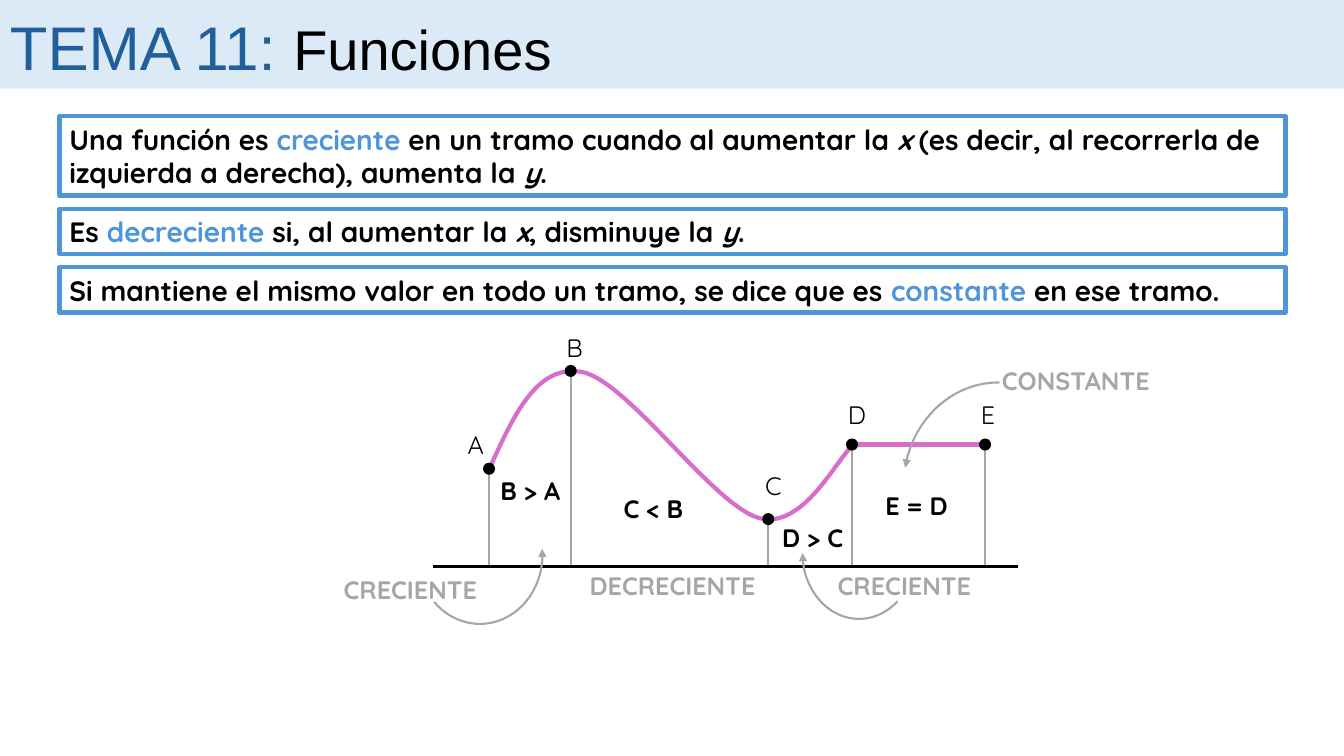
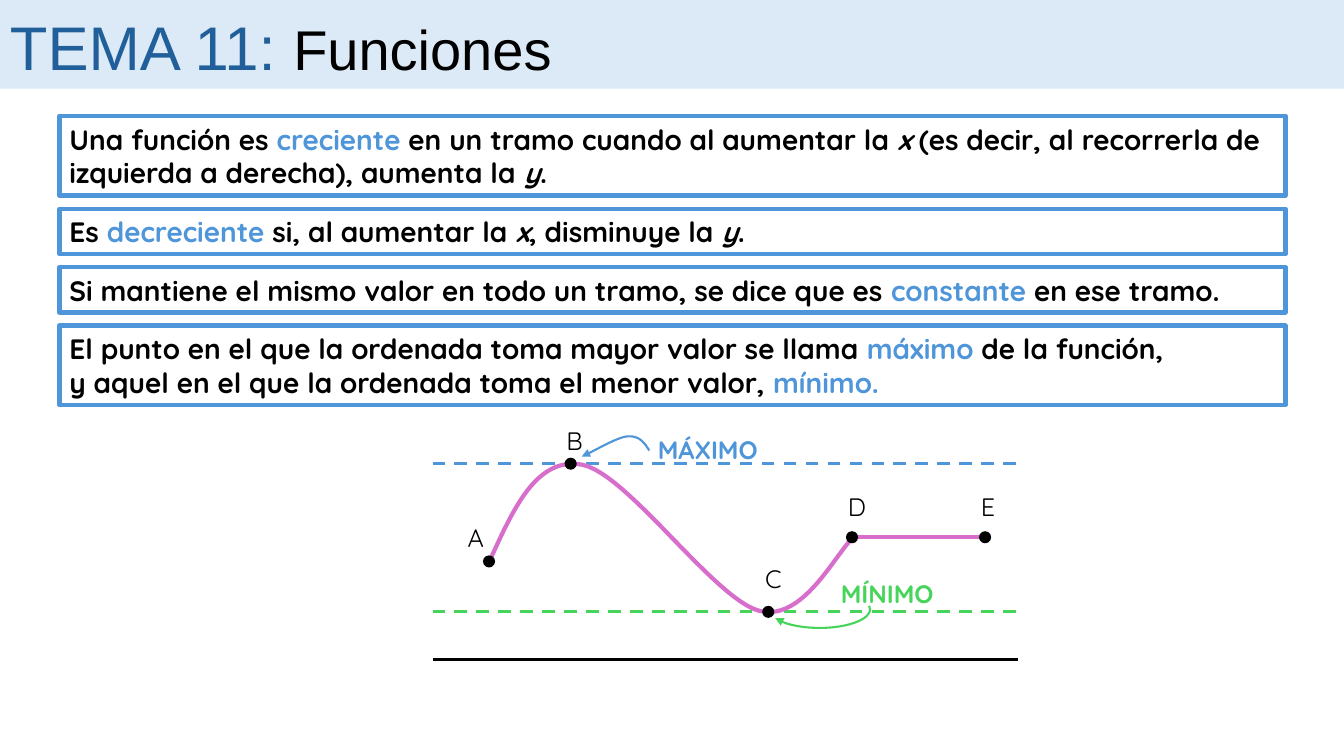
import lxml.etree
import pptx
import pptx.dml.color
import pptx.enum.dml
import pptx.enum.shapes
import pptx.enum.text
import pptx.oxml.ns
import pptx.util

Inches = pptx.util.Inches
Pt = pptx.util.Pt
RGBColor = pptx.dml.color.RGBColor
MSO_SHAPE = pptx.enum.shapes.MSO_SHAPE
PP_ALIGN = pptx.enum.text.PP_ALIGN
MSO_ANCHOR = pptx.enum.text.MSO_ANCHOR
qn = pptx.oxml.ns.qn

BLACK = RGBColor(0x00, 0x00, 0x00)
BAND = RGBColor(0xDC, 0xEA, 0xF7)
NAVY = RGBColor(0x21, 0x5F, 0x9A)
BLUE = RGBColor(0x4E, 0x95, 0xD9)
GRAY = RGBColor(0xA6, 0xA6, 0xA6)
PINK = RGBColor(0xD8, 0x6E, 0xCC)
GREEN = RGBColor(0x47, 0xD4, 0x5A)

BODY_FONT = "Quicksand"
TITLE_FONT = "Arial"
ONE_LINE, TWO_LINES = 0.45, 0.79
BOX_LEFT, BOX_TOP, BOX_WIDTH, BOX_GAP = 0.59, 1.15, 12.16, 0.13
DOT = 0.12
AXIS_LEFT, AXIS_RIGHT, AXIS_Y = 4.29, 10.1, 5.62
GRAPH_DROP = 0.92

# Each point: centre, then the offset of its label box
POINTS = {
    "A": (4.85, 4.65, -0.31, -0.44),
    "B": (5.66, 3.68, -0.14, -0.43),
    "C": (7.62, 5.15, -0.13, -0.53),
    "D": (8.45, 4.41, -0.14, -0.5),
    "E": (9.77, 4.41, -0.14, -0.5),
}
CURVE = [(4.85, 4.66), (5.09, 4.13), (5.32, 3.61), (5.77, 3.69),
         (6.22, 3.77), (7.08, 5.02), (7.53, 5.14),
         (7.98, 5.26), (8.31, 4.52), (8.48, 4.4)]
MAXIMUM_ARROW = [(6.44, 4.47), (6.39, 4.39), (6.34, 4.32), (6.22, 4.33),
                 (6.11, 4.34), (5.85, 4.5), (5.77, 4.53)]

# Each definition: box height and paragraphs; a run is (text, style)
DEFINITIONS = [
    (TWO_LINES, [[("Una función es ", ""), ("creciente", "key"),
                  (" en un tramo cuando al aumentar la ", ""), ("x ", "var"),
                  ("(es decir, al recorrerla de izquierda a derecha), aumenta la ", ""),
                  ("y", "var"), (".", "")]]),
    (ONE_LINE, [[("Es ", ""), ("decreciente", "key"), (" si, al aumentar la ", ""),
                 ("x", "var"), (", disminuye la ", ""), ("y", "var"), (".", "")]]),
    (ONE_LINE, [[("Si mantiene el mismo valor en todo un tramo, se dice que es ", ""),
                 ("constante", "key"), (" en ese tramo.", "")]]),
]
EXTREMES = (TWO_LINES, [
    [("El punto en el que la ordenada toma mayor valor se llama ", ""),
     ("máximo", "key"), (" de la función,", "")],
    [("y aquel en el que la ordenada toma el menor valor, ", ""), ("mínimo.", "key")],
])


def bezier_points(nodes, steps=24):
    """Sample a chain of cubic curves that share their end nodes."""
    points = [nodes[0]]
    for i in range(0, len(nodes) - 1, 3):
        a, b, c, d = nodes[i:i + 4]
        for k in range(1, steps + 1):
            t = k / steps
            u = 1 - t
            points.append(tuple(
                u**3 * a[j] + 3 * u * u * t * b[j] + 3 * u * t * t * c[j] + t**3 * d[j]
                for j in (0, 1)))
    return points


class Deck:
    def __init__(self):
        self.prs = pptx.Presentation()
        self.prs.slide_width = Inches(13.33)
        self.prs.slide_height = Inches(7.5)
        self.s = None

    def new_slide(self):
        self.s = self.prs.slides.add_slide(self.prs.slide_layouts[6])
        self.shape(MSO_SHAPE.RECTANGLE, 0, 0, 13.33, 0.88, fill=BAND)
        p = self.text_box(0, 0.04, 11.85, 0.84)
        self.run(p, "TEMA 11: ", 44, NAVY, font=TITLE_FONT)
        self.run(p, "Funciones", 40, BLACK, font=TITLE_FONT)

    def run(self, p, text, size, color, bold=False, italic=False, font=BODY_FONT):
        r = p.add_run()
        r.text = text
        r.font.name = font
        r.font.size = Pt(size)
        r.font.bold = bold
        r.font.italic = italic
        r.font.color.rgb = color

    def text_box(self, x, y, w, h):
        """Add an empty wrapping box and return its first paragraph."""
        sp = self.s.shapes.add_textbox(Inches(x), Inches(y), Inches(w), Inches(h))
        sp.text_frame.word_wrap = True
        return sp.text_frame.paragraphs[0]

    def label(self, text, x, y, w, color=BLACK, bold=True):
        p = self.text_box(x, y, w, 0.4)
        p.alignment = PP_ALIGN.CENTER
        self.run(p, text, 18, color, bold)

    def outline(self, sp, color, width, head=False, tail=False):
        sp.line.color.rgb = color
        sp.line.width = Pt(width)
        for tag, wanted in (("a:headEnd", head), ("a:tailEnd", tail)):
            if wanted:
                end = lxml.etree.SubElement(sp.line._get_or_add_ln(), qn(tag))
                end.set("type", "triangle")

    def shape(self, kind, x, y, w, h, fill=None):
        sp = self.s.shapes.add_shape(kind, Inches(x), Inches(y), Inches(w), Inches(h))
        sp.shadow.inherit = False
        if fill is None:
            sp.fill.background()
        else:
            sp.fill.solid()
            sp.fill.fore_color.rgb = fill
        sp.line.fill.background()
        return sp

    def line(self, x1, y1, x2, y2, color, width, dashed=False):
        sp = self.s.shapes.add_connector(
            pptx.enum.shapes.MSO_CONNECTOR.STRAIGHT,
            Inches(x1), Inches(y1), Inches(x2), Inches(y2))
        self.outline(sp, color, width)
        if dashed:
            sp.line.dash_style = pptx.enum.dml.MSO_LINE.DASH
        lxml.etree.SubElement(sp._element.spPr, qn("a:effectLst"))

    def arc(self, x, y, w, h, angles, color=GRAY, head=False, tail=False,
            flip=False, rotation=0):
        """Add an arc; angles are the start and end in degrees."""
        sp = self.shape(MSO_SHAPE.ARC, x, y, w, h)
        for i, angle in enumerate(angles):
            sp.adjustments[i] = angle * 0.6
        sp.rotation = rotation
        if flip:
            sp._element.spPr.xfrm.set("flipH", "1")
        self.outline(sp, color, 1.5, head, tail)

    def curve(self, nodes, color, width, tail=False):
        points = [(Inches(x), Inches(y)) for x, y in bezier_points(nodes)]
        builder = self.s.shapes.build_freeform(*points[0])
        builder.add_line_segments(points[1:], close=False)
        sp = builder.convert_to_shape()
        sp.shadow.inherit = False
        sp.fill.background()
        self.outline(sp, color, width, tail=tail)

    def definitions(self, items):
        top = BOX_TOP
        for height, paragraphs in items:
            sp = self.shape(MSO_SHAPE.RECTANGLE, BOX_LEFT, top, BOX_WIDTH, height)
            self.outline(sp, BLUE, 3)
            tf = sp.text_frame
            tf.word_wrap = True
            tf.vertical_anchor = MSO_ANCHOR.MIDDLE
            for i, runs in enumerate(paragraphs):
                p = tf.add_paragraph() if i else tf.paragraphs[0]
                p.alignment = PP_ALIGN.LEFT
                for text, style in runs:
                    self.run(p, text, 20, BLUE if style == "key" else BLACK,
                             bold=True, italic=style == "var")
            top += height + BOX_GAP

    def graph(self, drop=0):
        """Draw the function, its named points and the axis, moved down by drop."""
        _, level, _, _ = POINTS["D"]
        self.line(8.46, level + drop, 9.79, level + drop, PINK, 3)
        self.curve([(x, y + drop) for x, y in CURVE], PINK, 3)
        self.line(AXIS_LEFT, AXIS_Y + drop, AXIS_RIGHT, AXIS_Y + drop, BLACK, 2.25)
        for name, (x, y, dx, dy) in POINTS.items():
            self.shape(MSO_SHAPE.OVAL, x - DOT / 2, y + drop - DOT / 2, DOT, DOT, BLACK)
            self.label(name, x + dx, y + drop + dy, 0.28, bold=False)


def growth_slide(deck):
    deck.new_slide()
    deck.definitions(DEFINITIONS)
    for x, y, _, _ in POINTS.values():
        deck.line(x, y, x, AXIS_Y, GRAY, 1.5)
    deck.graph()
    for text, x, y in (("B > A", 4.82, 4.67), ("C < B", 6.04, 4.84),
                       ("D > C", 7.62, 5.13), ("E = D", 8.65, 4.82)):
        deck.label(text, x, y, 0.88)
    for text, x, y in (("DECRECIENTE", 5.73, 5.61), ("CRECIENTE", 3.13, 5.65),
                       ("CRECIENTE", 8.03, 5.61), ("CONSTANTE", 9.73, 3.58)):
        deck.label(text, x, y, 1.88, GRAY)
    deck.arc(4.14, 4.82, 1.24, 1.37, (354.39, 134.18), head=True)
    deck.arc(7.96, 4.84, 1.12, 1.3, (359.56, 128.92), head=True, flip=True)
    deck.arc(8.97, 3.79, 1.79, 1.95, (354.39, 79.22), head=True, rotation=193.6)


def extremes_slide(deck):
    deck.new_slide()
    deck.definitions(DEFINITIONS + [EXTREMES])
    for name, color in (("B", BLUE), ("C", GREEN)):
        y = POINTS[name][1] + GRAPH_DROP
        deck.line(AXIS_LEFT, y, AXIS_RIGHT, y, color, 2.25, dashed=True)
    deck.label("MÁXIMO", 6.35, 4.26, 1.34, BLUE)
    deck.label("MÍNIMO", 8.13, 5.69, 1.34, GREEN)
    deck.curve(MAXIMUM_ARROW, BLUE, 1.5, tail=True)
    deck.arc(7.63, 5.86, 1, 0.37, (355.88, 168.76), GREEN, tail=True)
    deck.graph(GRAPH_DROP)


def main():
    deck = Deck()
    growth_slide(deck)
    extremes_slide(deck)
    deck.prs.save("out.pptx")


if __name__ == "__main__":
    main()
